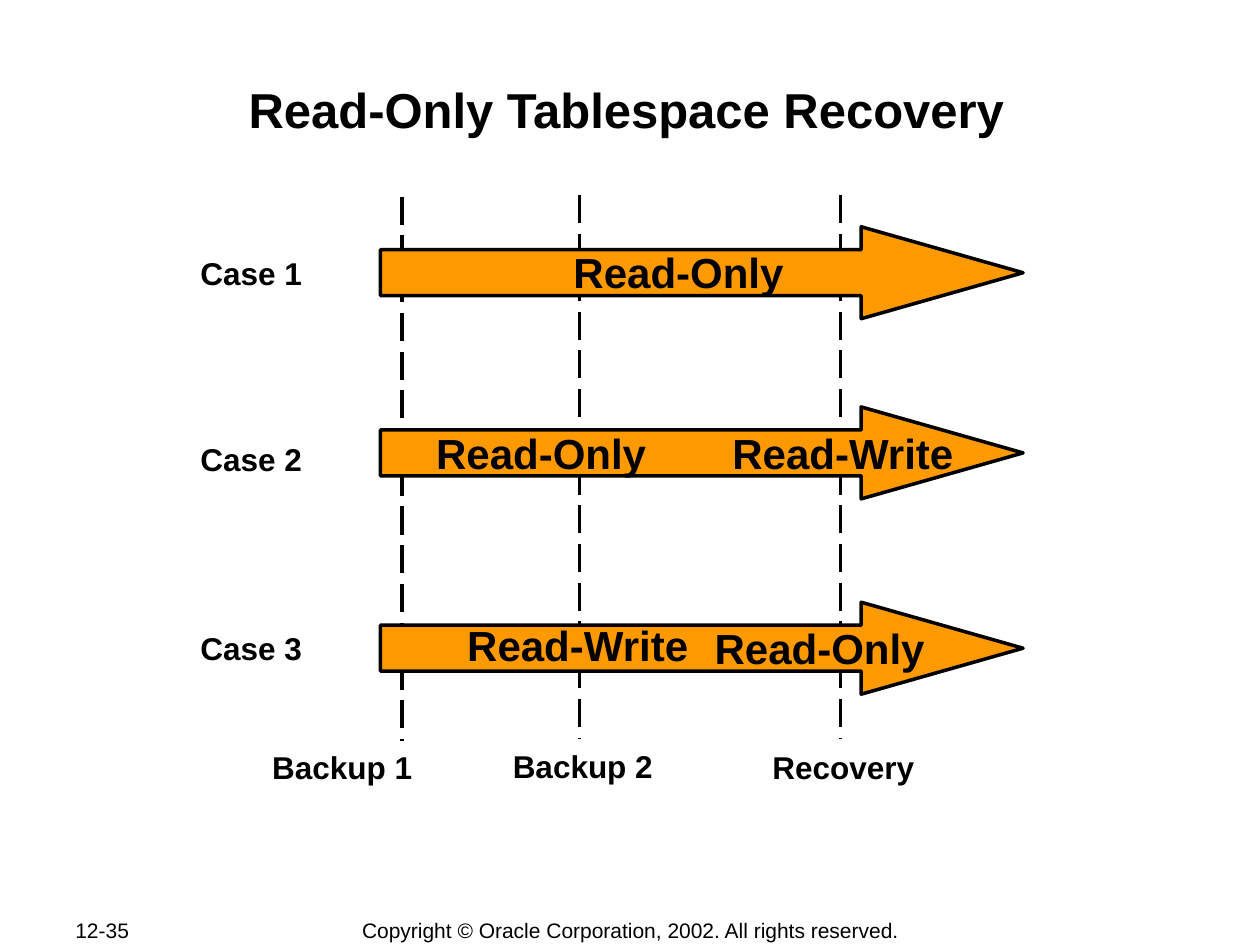
from dataclasses import dataclass

from lxml import etree
from pptx import Presentation
from pptx.dml.color import RGBColor
from pptx.enum.dml import MSO_LINE
from pptx.enum.shapes import MSO_CONNECTOR, MSO_SHAPE
from pptx.enum.text import MSO_ANCHOR, PP_ALIGN
from pptx.oxml.ns import qn
from pptx.util import Emu, Inches, Pt

BLACK = RGBColor(0x00, 0x00, 0x00)
ORANGE = RGBColor(0xFF, 0x99, 0x00)
LONG_DASH = MSO_LINE.LONG_DASH
STRAIGHT = MSO_CONNECTOR.STRAIGHT
RIGHT_ARROW = MSO_SHAPE.RIGHT_ARROW
TOP, MIDDLE = MSO_ANCHOR.TOP, MSO_ANCHOR.MIDDLE
LEFT, CENTER = PP_ALIGN.LEFT, PP_ALIGN.CENTER

FONT = "Arial"
COLUMNS, ROWS = 100, 75
CELL = Inches(10) // COLUMNS
LINE_WIDTH = Pt(2)
ARROW_LEFT, ARROW_WIDTH, ARROW_HEIGHT = 30.2, 51, 7.3
CASE_LEFT, LABEL_WIDTH, LABEL_HEIGHT = 15, 20.7, 3.9
PHASE_HEIGHT = 4.9


@dataclass(frozen=True)
class Phase:
    text: str
    left: float
    width: float
    drop: float = 1.1


@dataclass(frozen=True)
class Case:
    name: str
    name_top: float
    arrow_top: float
    phases: tuple[Phase, ...]


@dataclass(frozen=True)
class Event:
    name: str
    column: float
    line_top: float
    line_bottom: float
    label_left: float
    label_top: float


EVENTS = (
    Event("Backup 1", 31.9, 15.6, 58.8, 20.7, 58.9),
    Event("Backup 2", 46, 15.5, 58.6, 39.8, 58.8),
    Event("Recovery", 66.7, 15.5, 58.6, 60.4, 58.9),
)
CASES = (
    Case("Case 1", 19.7, 18, (Phase("Read-Only", 43.5, 20.7),)),
    Case("Case 2", 34.4, 32.3, (Phase("Read-Only", 32.6, 20.7),
                                Phase("Read-Write", 54.1, 25.6))),
    Case("Case 3", 49.4, 47.8, (Phase("Read-Write", 32.5, 26.7, 0.9),
                                Phase("Read-Only", 54.7, 20.7))),
)


def cells(count: float) -> Emu:
    return Emu(round(count * CELL))


def add_text(page, text: str, left: float, top: float, width: float, height: float, *,
             size: int = 18, bold: bool = True, align=LEFT, anchor=TOP,
             wrap: bool = True, inset: float = 0.9) -> None:
    """Place one line of text; positions and side inset are in grid cells."""
    box = page.shapes.add_textbox(cells(left), cells(top), cells(width), cells(height))
    frame = box.text_frame
    frame.word_wrap = wrap
    frame.vertical_anchor = anchor
    frame.margin_left = frame.margin_right = cells(inset)
    para = frame.paragraphs[0]
    para.alignment = align
    span = para.add_run()
    span.text = text
    span.font.name = FONT
    span.font.size = Pt(size)
    span.font.bold = bold
    span.font.color.rgb = BLACK


def add_event_line(page, event: Event) -> None:
    line = page.shapes.add_connector(STRAIGHT, cells(event.column), cells(event.line_top),
                                     cells(event.column), cells(event.line_bottom))
    line.line.color.rgb = BLACK
    line.line.width = LINE_WIDTH
    line.line.dash_style = LONG_DASH
    etree.SubElement(line._element.spPr, qn("a:effectLst"))


def add_event_label(page, event: Event) -> None:
    add_text(page, event.name, event.label_left, event.label_top, LABEL_WIDTH, LABEL_HEIGHT)


def add_case(page, case: Case) -> None:
    add_text(page, case.name, CASE_LEFT, case.name_top, LABEL_WIDTH, LABEL_HEIGHT)
    arrow = page.shapes.add_shape(RIGHT_ARROW, cells(ARROW_LEFT), cells(case.arrow_top),
                                  cells(ARROW_WIDTH), cells(ARROW_HEIGHT))
    arrow.adjustments[0] = 0.5
    arrow.adjustments[1] = 1.76
    arrow.shadow.inherit = False
    arrow.fill.solid()
    arrow.fill.fore_color.rgb = ORANGE
    arrow.line.color.rgb = BLACK
    arrow.line.width = LINE_WIDTH
    for phase in case.phases:
        add_text(page, phase.text, phase.left, case.arrow_top + phase.drop,
                 phase.width, PHASE_HEIGHT, size=24, align=CENTER)


def main() -> None:
    deck = Presentation()
    deck.slide_width, deck.slide_height = cells(COLUMNS), cells(ROWS)
    page = deck.slides.add_slide(deck.slide_layouts[6])

    add_text(page, "12-35", 5, 72.8, 10.6, 2, size=12, bold=False,
             anchor=MIDDLE, wrap=False, inset=1)
    add_text(page, "Copyright © Oracle Corporation, 2002. All rights reserved.",
             27.6, 72.8, 44.9, 2.1, size=12, bold=False, align=CENTER,
             anchor=MIDDLE, wrap=False, inset=1)
    for event in EVENTS:
        add_event_line(page, event)
    add_text(page, "Read-Only Tablespace Recovery", 9.7, 5.8, 80, 9.6,
             size=28, align=CENTER, inset=0.1)
    for event in EVENTS:
        add_event_label(page, event)
    for case in CASES:
        add_case(page, case)
    deck.save("out.pptx")


if __name__ == "__main__":
    main()
